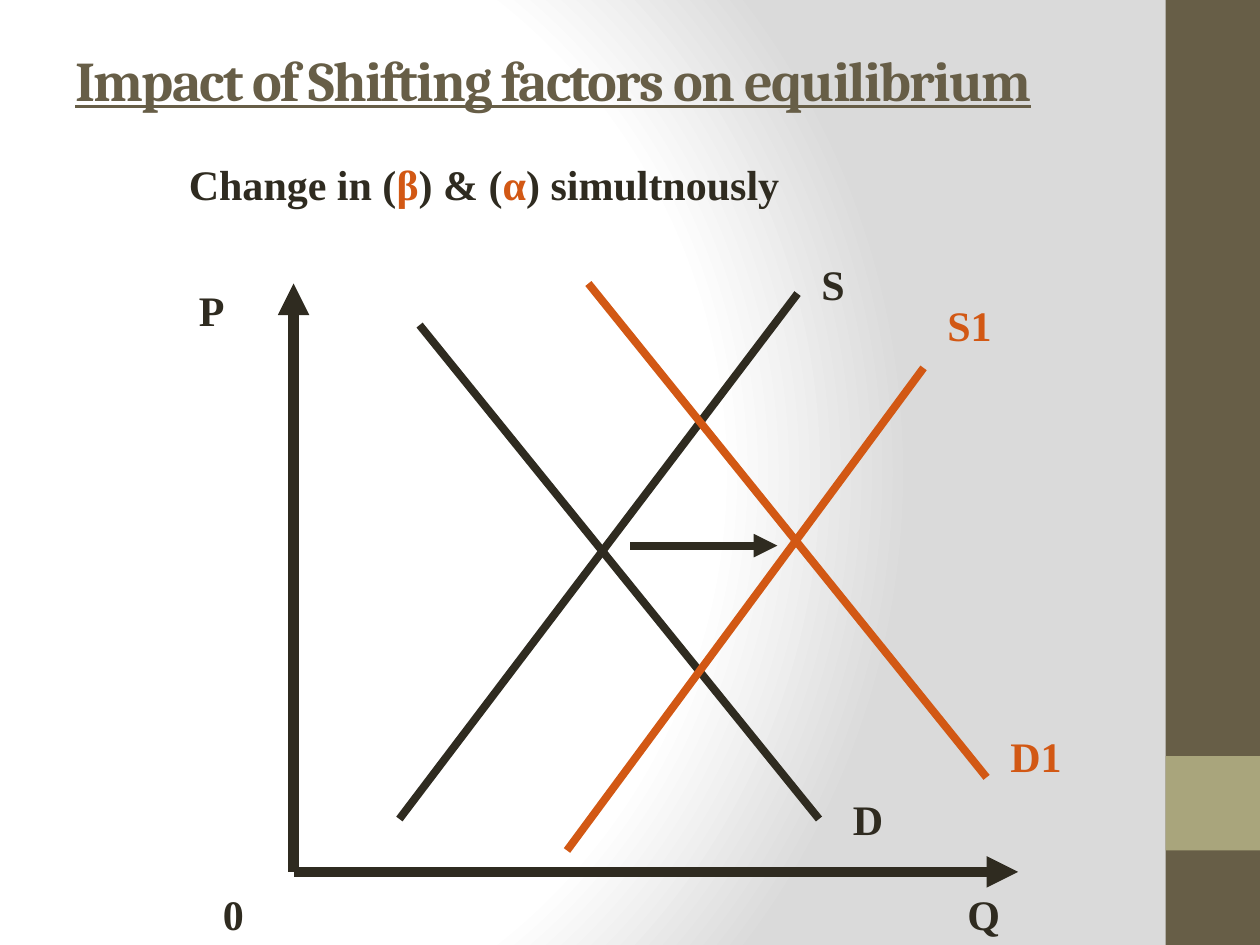
from lxml.etree import SubElement
from pptx import Presentation
from pptx.dml.color import RGBColor
from pptx.enum.shapes import MSO_CONNECTOR, MSO_SHAPE
from pptx.enum.text import MSO_ANCHOR, MSO_AUTO_SIZE
from pptx.oxml import parse_xml
from pptx.oxml.ns import nsdecls, qn
from pptx.util import Inches, Pt

DARK, RUST, BROWN, SAGE = "2F2B20", "D25814", "675E47", "A9A57C"


def color(code):
    return RGBColor.from_string(code)


class Board:
    """Holds the text style and the current slide."""
    font, size = "Times New Roman", 24

    def __init__(self, slide):
        self.slide = slide
        self.shapes = slide.shapes

    def glow(self, stops):
        """Fill the background with a circular gradient."""
        self.slide.background.fill.solid()
        back = self.slide.element.find(".//" + qn("p:bgPr"))
        marks = "".join(
            f'<a:gs pos="{pos * 1000}"><a:srgbClr val="{code}"/></a:gs>'
            for pos, code in stops)
        back.replace(back[0], parse_xml(
            f'<a:gradFill {nsdecls("a")} rotWithShape="1">'
            f'<a:gsLst>{marks}</a:gsLst><a:path path="circle">'
            '<a:fillToRect l="20000" t="50000" r="100000" b="50000"/>'
            '</a:path></a:gradFill>'))

    def block(self, left, top, width, height, code):
        shape = self.shapes.add_shape(
            MSO_SHAPE.RECTANGLE, *map(Inches, (left, top, width, height)))
        shape.shadow.inherit = False
        shape.fill.solid()
        shape.fill.fore_color.rgb = color(code)
        shape.line.fill.background()

    def text(self, left, top, width, height, parts):
        """Add a one-line box; parts are (text, colour) pairs."""
        box = self.shapes.add_textbox(
            *map(Inches, (left, top, width, height)))
        frame = box.text_frame
        frame.word_wrap = False
        frame.auto_size = MSO_AUTO_SIZE.SHAPE_TO_FIT_TEXT
        for words, code in parts:
            run = frame.paragraphs[0].add_run()
            run.text = words
            run.font.name = self.font
            run.font.size = Pt(self.size)
            run.font.bold = True
            run.font.color.rgb = color(code)
        return frame

    def title(self, words):
        frame = self.text(0.5, 0, 9.5, 1.25, [(words, BROWN)])
        frame.auto_size = MSO_AUTO_SIZE.NONE
        frame.word_wrap = True
        frame.vertical_anchor = MSO_ANCHOR.MIDDLE
        font = frame.paragraphs[0].runs[0].font
        font.name = "Cambria"
        font.size = Pt(32)
        font.underline = True
        frame.paragraphs[0].runs[0]._r.get_or_add_rPr().set("spc", "-100")

    def line(self, start, end, code=DARK, width=4.5, arrow=False):
        link = self.shapes.add_connector(
            MSO_CONNECTOR.STRAIGHT, *map(Inches, (*start, *end)))
        link.line.color.rgb = color(code)
        link.line.width = Pt(width)
        if arrow:
            SubElement(link.line._get_or_add_ln(), qn("a:tailEnd"),
                       type="triangle")
        SubElement(link._element.spPr, qn("a:effectLst"))


def main():
    deck = Presentation()
    deck.slide_width, deck.slide_height = Inches(10), Inches(7.5)
    board = Board(deck.slides.add_slide(deck.slide_layouts[6]))

    board.glow([(0, "FFFFFF"), (75, "FFFFFF"), (100, "DADADA")])
    board.block(9.25, 0, 0.75, 7.5, BROWN)
    board.block(9.25, 6, 0.75, 0.75, SAGE)
    board.title("Impact of Shifting factors on equilibrium")

    origin = (2.33, 6.92)
    for tip in ((2.33, 2.25), (8.08, 6.92)):
        board.line(origin, tip, width=6, arrow=True)

    curves = [
        ((3.33, 2.58), (6.5, 6.5), DARK),
        ((6.33, 2.33), (3.17, 6.5), DARK),
        ((4.67, 2.25), (7.83, 6.17), RUST),
        ((4.5, 6.75), (7.33, 2.92), RUST),
    ]
    for start, end, code in curves:
        board.line(start, end, code)
    board.line((5, 4.33), (6.17, 4.33), arrow=True)

    labels = [
        ("P", 1.48, 2.21, 0.4, DARK),
        ("Q", 7.58, 7, 0.46, DARK),
        ("0", 1.67, 7, 0.37, DARK),
        ("D", 6.67, 6.25, 0.44, DARK),
        ("D1", 7.92, 5.75, 0.61, RUST),
        ("S", 6.42, 2, 0.5, DARK),
        ("S1", 7.42, 2.33, 0.55, RUST),
    ]
    for words, left, top, width, code in labels:
        board.text(left, top, width, 0.5, [(words, code)])

    board.text(1.4, 1.21, 5.01, 0.5, [
        ("Change in (", DARK), ("β", RUST), (") & (", DARK),
        ("α", RUST), (") simultnously", DARK)])

    deck.save("out.pptx")


if __name__ == "__main__":
    main()
